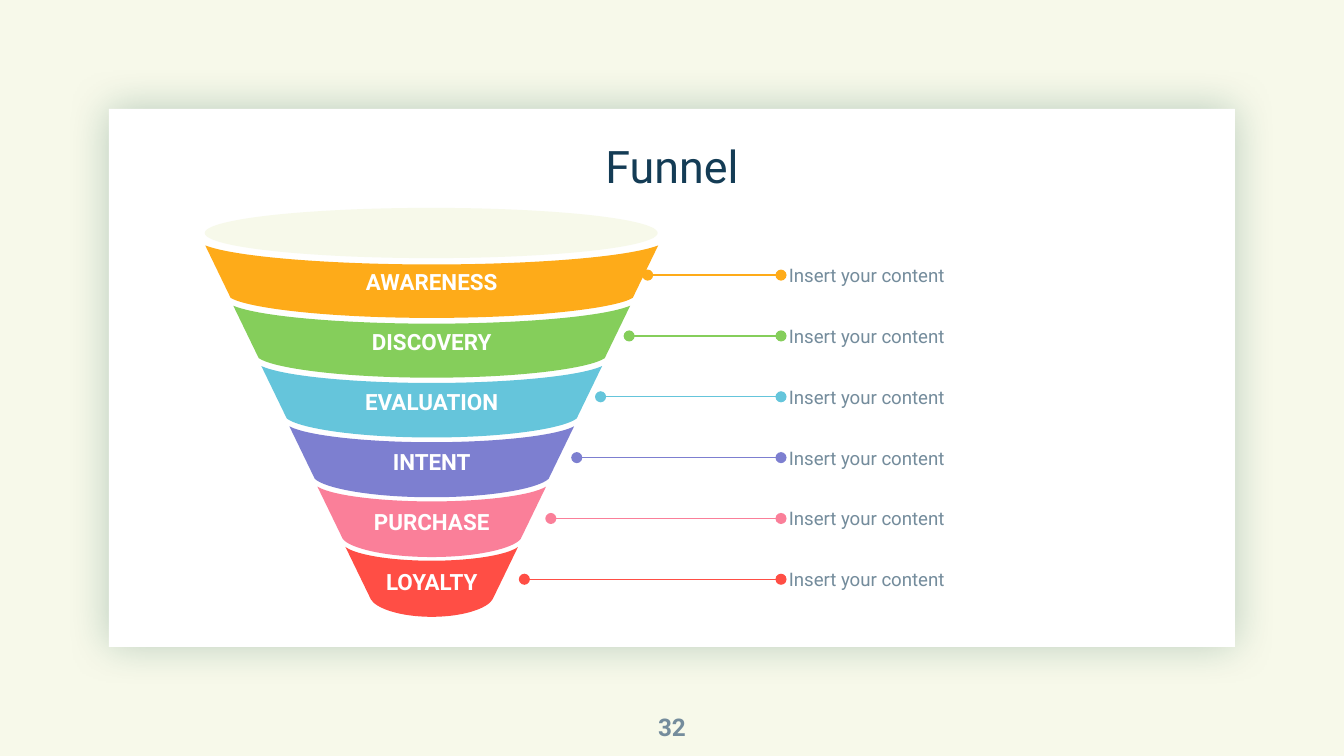
from dataclasses import dataclass

from lxml.etree import SubElement
from pptx import Presentation
from pptx.dml.color import RGBColor
from pptx.enum.shapes import MSO_CONNECTOR, MSO_SHAPE
from pptx.enum.text import MSO_ANCHOR, PP_ALIGN
from pptx.oxml.ns import qn
from pptx.util import Cm, Pt


@dataclass(frozen=True)
class Theme:
    font: str = "Roboto"
    cream: str = "F7F9EA"
    white: str = "FFFFFF"
    navy: str = "143C55"
    slate: str = "748C9C"
    shadow: str = "054C3A"
    title_size: float = 24
    number_size: float = 13
    stage_size: float = 12
    note_size: float = 10
    leader_width: float = 0.75


@dataclass(frozen=True)
class Stage:
    label: str
    color: str
    leader_start: float
    note: str = "Insert your content"


@dataclass(frozen=True)
class Box:
    """Position and size in centimetres."""
    left: float
    top: float
    width: float
    height: float

    def lengths(self) -> tuple:
        return Cm(self.left), Cm(self.top), Cm(self.width), Cm(self.height)


THEME = Theme()
STAGES = (
    Stage("AWARENESS", "FEAB19", 12.24),
    Stage("DISCOVERY", "85CE5B", 11.89),
    Stage("EVALUATION", "65C5DB", 11.35),
    Stage("INTENT", "7D7FD0", 10.9),
    Stage("PURCHASE", "FA7F99", 10.41),
    Stage("LOYALTY", "FF4E45", 9.91),
)
FUNNEL_CENTER = 8.16
LEADER_END = 14.76


def write(frame, text: str, size: float, color: str, bold: bool = False,
          align=PP_ALIGN.CENTER, anchor=MSO_ANCHOR.MIDDLE,
          inset: tuple = (0, 0), spacing: float = 1.0) -> None:
    across, down = (Cm(value) for value in inset)
    paragraph = frame.paragraphs[0]
    paragraph.text = text
    formats = (
        (frame, {"word_wrap": True, "vertical_anchor": anchor,
                 "margin_left": across, "margin_right": across,
                 "margin_top": down, "margin_bottom": down}),
        (paragraph, {"alignment": align, "line_spacing": spacing}),
        (paragraph.runs[0].font, {"name": THEME.font, "size": Pt(size), "bold": bold}),
    )
    for target, values in formats:
        for name, value in values.items():
            setattr(target, name, value)
    paragraph.runs[0].font.color.rgb = RGBColor.from_string(color)


def add_text(slide, box: Box, text: str, size: float, color: str, **options) -> None:
    write(slide.shapes.add_textbox(*box.lengths()).text_frame, text, size, color, **options)


def paint(shape, color: str) -> None:
    """Flat fill with no outline and no shadow."""
    shape.shadow.inherit = False
    shape.fill.solid()
    shape.fill.fore_color.rgb = RGBColor.from_string(color)
    shape.line.fill.background()


def add_plain_shape(slide, kind, box: Box, color: str):
    shape = slide.shapes.add_shape(kind, *box.lengths())
    paint(shape, color)
    return shape


def add_glow(shape, color: str, opacity: int, blur: float) -> None:
    effects = shape._element.spPr.find(qn("a:effectLst"))
    glow = SubElement(effects, qn("a:outerShdw"), blurRad=str(Pt(blur)), dist="0",
                      dir="0", algn="ctr", rotWithShape="0")
    tint = SubElement(glow, qn("a:srgbClr"), val=color)
    SubElement(tint, qn("a:alpha"), val=str(opacity * 1000))


def arc(half_width: float, top: float, dip: float, pull: tuple) -> list:
    """Seven Bezier points of a sagging curve, left to right.

    pull holds the two control points as (share of half width, share of dip).
    """
    left = [(-half_width * x, top + dip * y) for x, y in ((1, 0), *pull, (0, 1))]
    return left + [(-x, y) for x, y in reversed(left[:-1])]


def bend(shape, starts: tuple) -> None:
    """Turn each run of three line segments beginning at starts into one curve."""
    lines = list(shape._element.iter(qn("a:lnTo")))
    for start in starts:
        first, *others = lines[start:start + 3]
        first.tag = qn("a:cubicBezTo")
        for line in others:
            first.append(line[0])
            line.getparent().remove(line)


def add_band(slide, index: int, stage: Stage) -> None:
    top = 4.64 + 1.14 * index
    half_width = 4.28 - 0.53 * index
    height = 1.37 - 0.01 * index
    side = 0.99
    rim = arc(half_width, top, 0.36 - 0.02 * index, ((0.86, 0.64), (0.42, 1)))
    base = arc(half_width - 0.48, top + side, height - side, ((0.92, 0.5), (0.53, 1)))
    outline = [(Cm(FUNNEL_CENTER + x), Cm(y)) for x, y in rim + base[::-1]]
    builder = slide.shapes.build_freeform(*outline[0])
    builder.add_line_segments(outline[1:], close=True)
    band = builder.convert_to_shape()
    bend(band, (0, 3, 7, 10))
    paint(band, stage.color)
    write(band.text_frame, stage.label, THEME.stage_size, THEME.white,
          bold=True, inset=(0.18, 0.1))


def add_leader(slide, index: int, stage: Stage) -> None:
    """Dotted-end line from a band to its note."""
    y = 5.2 + 1.15 * index
    leader = slide.shapes.add_connector(MSO_CONNECTOR.STRAIGHT, Cm(stage.leader_start),
                                        Cm(y), Cm(LEADER_END), Cm(y))
    leader.line.width = Pt(THEME.leader_width)
    leader.line.color.rgb = RGBColor.from_string(stage.color)
    outline = leader.line._get_or_add_ln()
    for end in ("a:headEnd", "a:tailEnd"):
        SubElement(outline, qn(end), type="oval", w="med", len="med")
    SubElement(leader._element.spPr, qn("a:effectLst"))
    add_text(slide, Box(14.91, y - 0.41, 6.63, 0.82), stage.note,
             THEME.note_size, THEME.slate, align=PP_ALIGN.LEFT)


def main() -> None:
    deck = Presentation()
    deck.slide_width, deck.slide_height = Cm(25.4), Cm(14.29)
    slide = deck.slides.add_slide(deck.slide_layouts[6])
    slide.background.fill.solid()
    slide.background.fill.fore_color.rgb = RGBColor.from_string(THEME.cream)

    card = add_plain_shape(slide, MSO_SHAPE.RECTANGLE, Box(2.06, 2.06, 21.28, 10.17),
                           THEME.white)
    add_glow(card, THEME.shadow, opacity=25, blur=22.5)
    add_text(slide, Box(3, 2.72, 19.4, 0.94), "Funnel", THEME.title_size, THEME.navy,
             anchor=MSO_ANCHOR.BOTTOM, spacing=0.9)
    add_text(slide, Box(11.94, 13.18, 1.52, 1.1), "32", THEME.number_size, THEME.slate,
             bold=True)

    for index, stage in enumerate(STAGES):
        add_band(slide, index, stage)
    add_plain_shape(slide, MSO_SHAPE.OVAL, Box(3.87, 3.93, 8.56, 0.95), THEME.cream)
    for index, stage in enumerate(STAGES):
        add_leader(slide, index, stage)

    deck.save("out.pptx")


if __name__ == "__main__":
    main()
